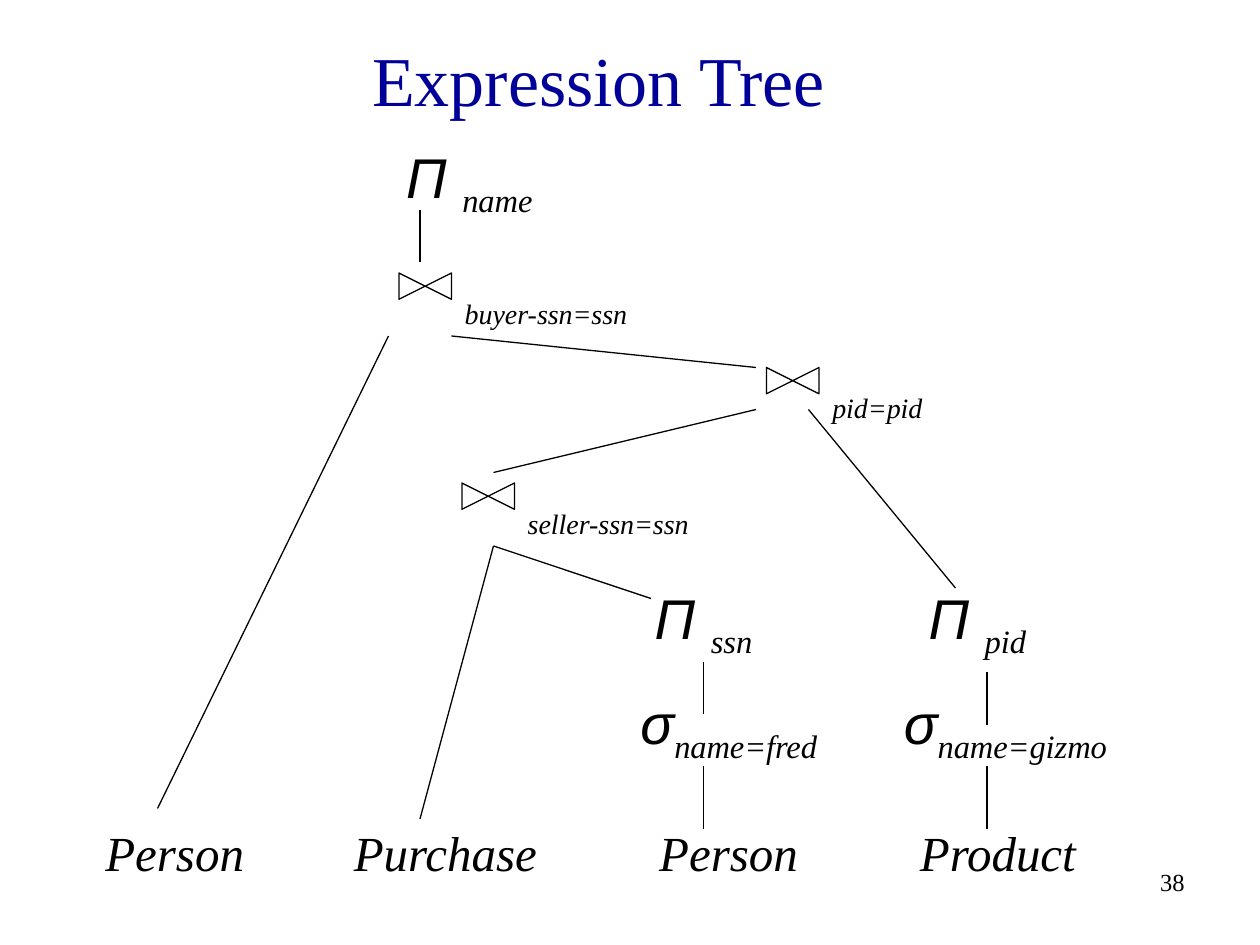
"""Build the slide with the expression tree of a relational query."""
from lxml import etree
from pptx import Presentation
from pptx.dml.color import RGBColor
from pptx.enum.shapes import MSO_CONNECTOR, MSO_SHAPE
from pptx.enum.text import MSO_ANCHOR, MSO_AUTO_SIZE, PP_ALIGN
from pptx.oxml.ns import qn
from pptx.util import Pt

BLACK = RGBColor(0, 0, 0)
NAVY = RGBColor(0, 0, 0x99)
SERIF, SANS = "Times New Roman", "Arial"
STRAIGHT = MSO_CONNECTOR.STRAIGHT
BOWTIE = MSO_SHAPE.FLOWCHART_COLLATE
NONE, GROW = MSO_AUTO_SIZE.NONE, MSO_AUTO_SIZE.SHAPE_TO_FIT_TEXT
MIDDLE, BOTTOM = MSO_ANCHOR.MIDDLE, MSO_ANCHOR.BOTTOM

TITLE = "Expression Tree"
NUMBER = "38"
LEAVES = [
    ("Person", 53, 110),
    ("Purchase", 195, 130),
    ("Person", 369.5, 110),
    ("Product", 518.5, 120),
]
OPS = [
    ("Π ", "name", 225, 78, 87),
    ("Π ", "ssn", 367, 330, 71),
    ("Π ", "pid", 523.5, 330, 71),
    (" σ", "name=fred", 350, 390, 132),
    (" σ", "name=gizmo", 500.5, 390, 146),
]
JOINS = [
    ("buyer-ssn=ssn", 235.5, 148.5, 111),
    ("pid=pid", 445.5, 202.5, 70),
    ("seller-ssn=ssn", 271.5, 268.5, 111),
]
EDGES = [
    (240, 150, 240, 120),
    (90, 462, 222, 192),
    (432, 210, 258, 192),
    (546, 336, 462, 234),
    (282, 270, 432, 234),
    (372, 342, 282, 312),
    (240, 468, 282, 312),
    (402, 408, 402, 378),
    (564, 414, 564, 384),
    (402, 474, 402, 438),
    (564, 474, 564, 438),
]


def add_run(para, text, size, font=SERIF, color=BLACK, italic=True, sub=False):
    run = para.add_run()
    run.text = text
    run.font.size = Pt(size)
    run.font.name = font
    run.font.bold = False
    run.font.italic = italic
    run.font.color.rgb = color
    if sub:
        run.font._element.set("baseline", "-25000")


def add_box(shapes, left, top, width, height):
    box = shapes.add_textbox(Pt(left), Pt(top), Pt(width), Pt(height))
    box.text_frame.word_wrap = False
    box.text_frame.auto_size = GROW
    return box.text_frame.paragraphs[0]


def place(shape, left, top, width, height, anchor):
    shape.left, shape.top = Pt(left), Pt(top)
    shape.width, shape.height = Pt(width), Pt(height)
    frame = shape.text_frame
    frame.auto_size = NONE
    frame.vertical_anchor = anchor
    return frame.paragraphs[0]


def add_leaf(shape, name, left, width):
    para = place(shape, left, 462, width, 48, BOTTOM)
    shape.text_frame.margin_bottom = Pt(6.5)
    para.space_before = Pt(0)
    props = para._p.get_or_add_pPr()
    props.set("marL", "0")
    props.set("indent", "0")
    etree.SubElement(props, qn("a:buNone"))
    add_run(para, name, 28)


def add_join(shapes, label, left, top, width):
    group = shapes.add_group_shape()
    bow = group.shapes.add_shape(BOWTIE, Pt(left), Pt(top), Pt(15), Pt(30))
    bow.rotation = 270
    bow.shadow.inherit = False
    bow.fill.background()
    bow.line.color.rgb = BLACK
    bow.line.width = Pt(0.75)
    add_run(add_box(group.shapes, left + 23, top + 17.2, width, 26.6), label, 16)


def add_edge(shapes, *ends):
    line = shapes.add_connector(STRAIGHT, *map(Pt, ends))
    line.line.color.rgb = BLACK
    line.line.width = Pt(0.75)
    etree.SubElement(line._element.spPr, qn("a:effectLst"))


def main():
    deck = Presentation()
    deck.slide_width, deck.slide_height = Pt(720), Pt(540)
    slide = deck.slides.add_slide(deck.slide_layouts[4])
    shapes = slide.shapes
    head = place(shapes.title, 36, 12, 612, 66, MIDDLE)
    head.alignment = PP_ALIGN.CENTER
    add_run(head, TITLE, 40, color=NAVY, italic=False)
    for spot, leaf in enumerate(LEAVES, 1):
        add_leaf(slide.placeholders[spot], *leaf)
    for sign, label, left, top, width in OPS:
        para = add_box(shapes, left, top, width, 51)
        add_run(para, sign, 32, SANS)
        add_run(para, label, 32, sub=True)
    for join in JOINS:
        add_join(shapes, *join)
    for edge in EDGES:
        add_edge(shapes, *edge)
    page = shapes.add_textbox(Pt(534), Pt(492), Pt(150), Pt(36)).text_frame
    page.word_wrap = True
    page.paragraphs[0].alignment = PP_ALIGN.RIGHT
    add_run(page.paragraphs[0], NUMBER, 14, italic=False)
    deck.save("out.pptx")


if __name__ == "__main__":
    main()
